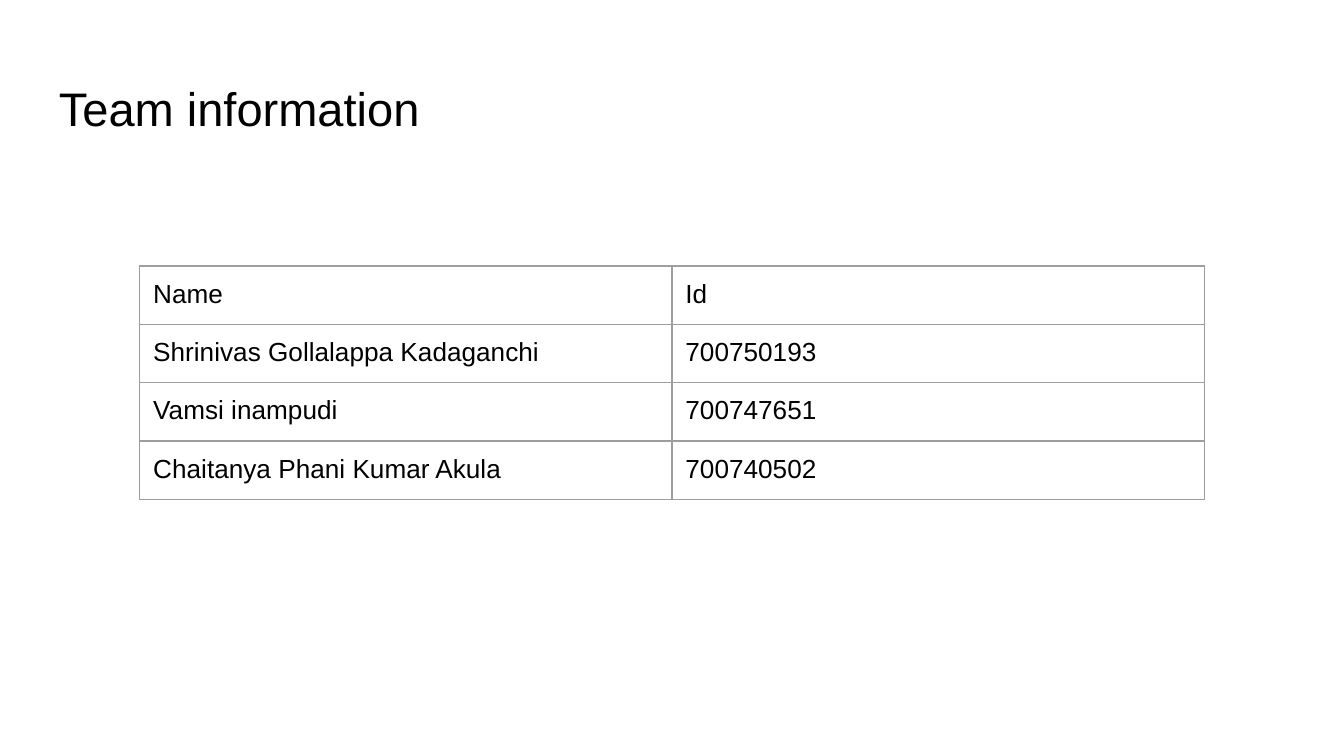
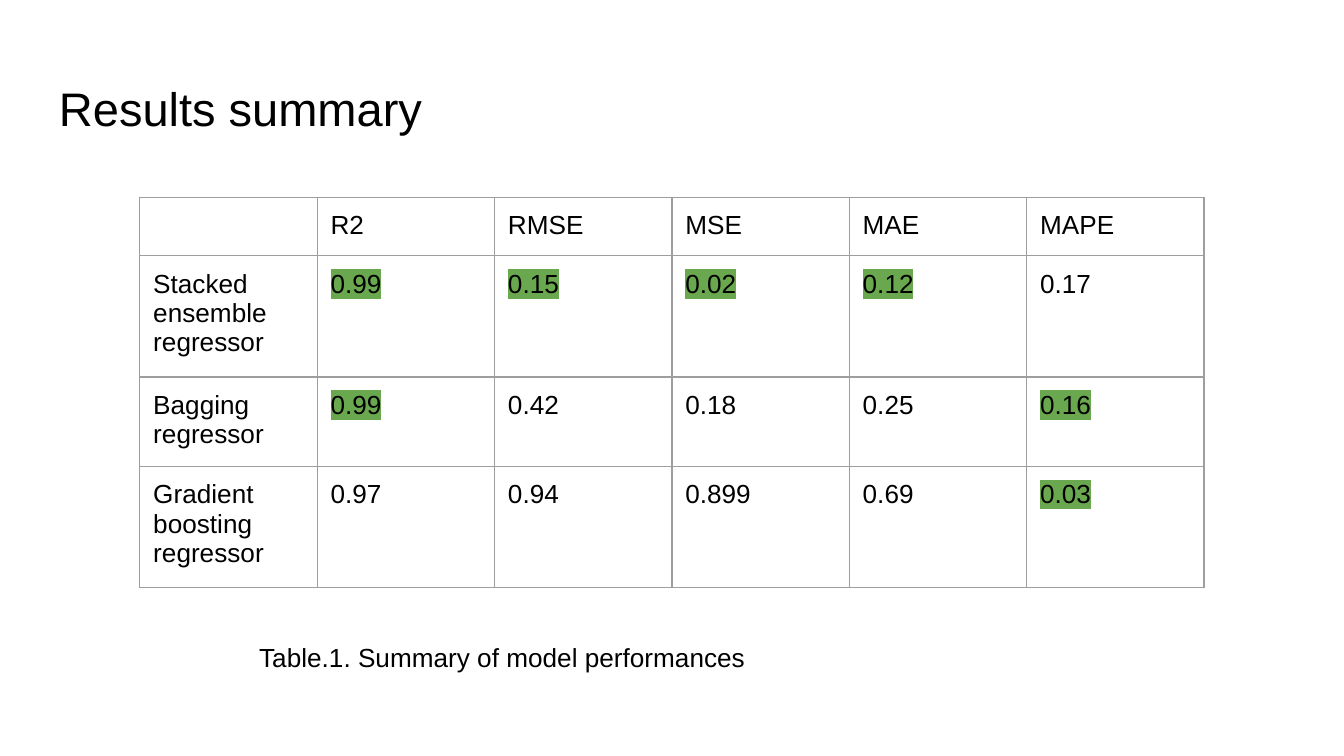
from lxml import etree
from pptx import Presentation
from pptx.dml.color import RGBColor
from pptx.enum.text import MSO_ANCHOR
from pptx.oxml.ns import qn
from pptx.util import Inches, Pt

TOP, MIDDLE = MSO_ANCHOR.TOP, MSO_ANCHOR.MIDDLE
SLIDE_W = 10
SLIDE_H = SLIDE_W * 9 / 16
FONT, INK, PAPER, BORDER, BEST = "Arial", "000000", "FFFFFF", "9E9E9E", "6AA84F"
TITLE_SIZE, BODY_SIZE = 25.2, 14
INSET = Inches(0.1)
ROW_H = 0.42

TITLE_BOX = (0.34, 0.49, 9.32, 0.63)
TEAM_BOX = (1.04, 1.98, 7.92, 4 * ROW_H)
RESULTS_BOX = (1.04, 1.47, 7.92, 4 * ROW_H)
CAPTION_BOX = (1.83, 4.67, 4.14, 0.67)

TEAM = [
    ["Name", "Id"],
    ["Shrinivas Gollalappa Kadaganchi", "700750193"],
    ["Vamsi inampudi", "700747651"],
    ["Chaitanya Phani Kumar Akula", "700740502"],
]
RESULTS = [
    ["", "R2", "RMSE", "MSE", "MAE", "MAPE"],
    ["Stacked ensemble regressor", "0.99", "0.15", "0.02", "0.12", "0.17"],
    ["Bagging regressor", "0.99", "0.42", "0.18", "0.25", "0.16"],
    ["Gradient boosting regressor", "0.97", "0.94", "0.899", "0.69", "0.03"],
]
BEST_CELLS = {(1, 1), (1, 2), (1, 3), (1, 4), (2, 1), (2, 5), (3, 5)}


def rgb(value):
    return RGBColor.from_string(value)


def add_solid(parent, tag, color):
    holder = etree.SubElement(parent, qn(tag))
    etree.SubElement(holder, qn("a:srgbClr"), val=color)


def style(paragraph, size):
    paragraph.font.name = FONT
    paragraph.font.size = Pt(size)
    paragraph.font.color.rgb = rgb(INK)
    etree.SubElement(paragraph._p, qn("a:endParaRPr"), sz=str(round(size * 100)))


def set_insets(holder):
    holder.margin_left = holder.margin_right = INSET
    holder.margin_top = holder.margin_bottom = INSET


def add_label(slide, box, text, size, anchor=TOP):
    frame = slide.shapes.add_textbox(*map(Inches, box)).text_frame
    frame.word_wrap = True
    frame.vertical_anchor = anchor
    set_insets(frame)
    frame.text = text
    style(frame.paragraphs[0], size)


def add_borders(cell):
    properties = cell._tc.get_or_add_tcPr()
    for position, side in enumerate(("a:lnL", "a:lnR", "a:lnT", "a:lnB")):
        line = etree.Element(qn(side), w=str(Pt(0.75)))
        add_solid(line, "a:solidFill", BORDER)
        properties.insert(position, line)


def fill_cell(cell, text, best):
    set_insets(cell)
    cell.fill.background()
    add_borders(cell)
    paragraph = cell.text_frame.paragraphs[0]
    if text:
        run = paragraph.add_run()
        run.text = text
        if best:
            add_solid(run._r.get_or_add_rPr(), "a:highlight", BEST)
    style(paragraph, BODY_SIZE)


def add_grid(slide, box, rows, best_cells=()):
    left, top, width, height = map(Inches, box)
    columns = len(rows[0])
    table = slide.shapes.add_table(len(rows), columns, left, top, width, height).table
    table.first_row = table.horz_banding = False
    for r, row in enumerate(rows):
        for c, text in enumerate(row):
            fill_cell(table.cell(r, c), text, (r, c) in best_cells)


def add_titled_slide(deck, title):
    slide = deck.slides.add_slide(deck.slide_layouts[6])
    slide.background.fill.solid()
    slide.background.fill.fore_color.rgb = rgb(PAPER)
    add_label(slide, TITLE_BOX, title, TITLE_SIZE, MIDDLE)
    return slide


def add_team_slide(deck):
    slide = add_titled_slide(deck, "Team information")
    add_grid(slide, TEAM_BOX, TEAM)


def add_results_slide(deck):
    slide = add_titled_slide(deck, "Results summary")
    add_grid(slide, RESULTS_BOX, RESULTS, BEST_CELLS)
    add_label(slide, CAPTION_BOX, "Table.1. Summary of model performances", BODY_SIZE)


def main():
    deck = Presentation()
    deck.slide_width, deck.slide_height = Inches(SLIDE_W), Inches(SLIDE_H)
    add_team_slide(deck)
    add_results_slide(deck)
    deck.save("out.pptx")


if __name__ == "__main__":
    main()
